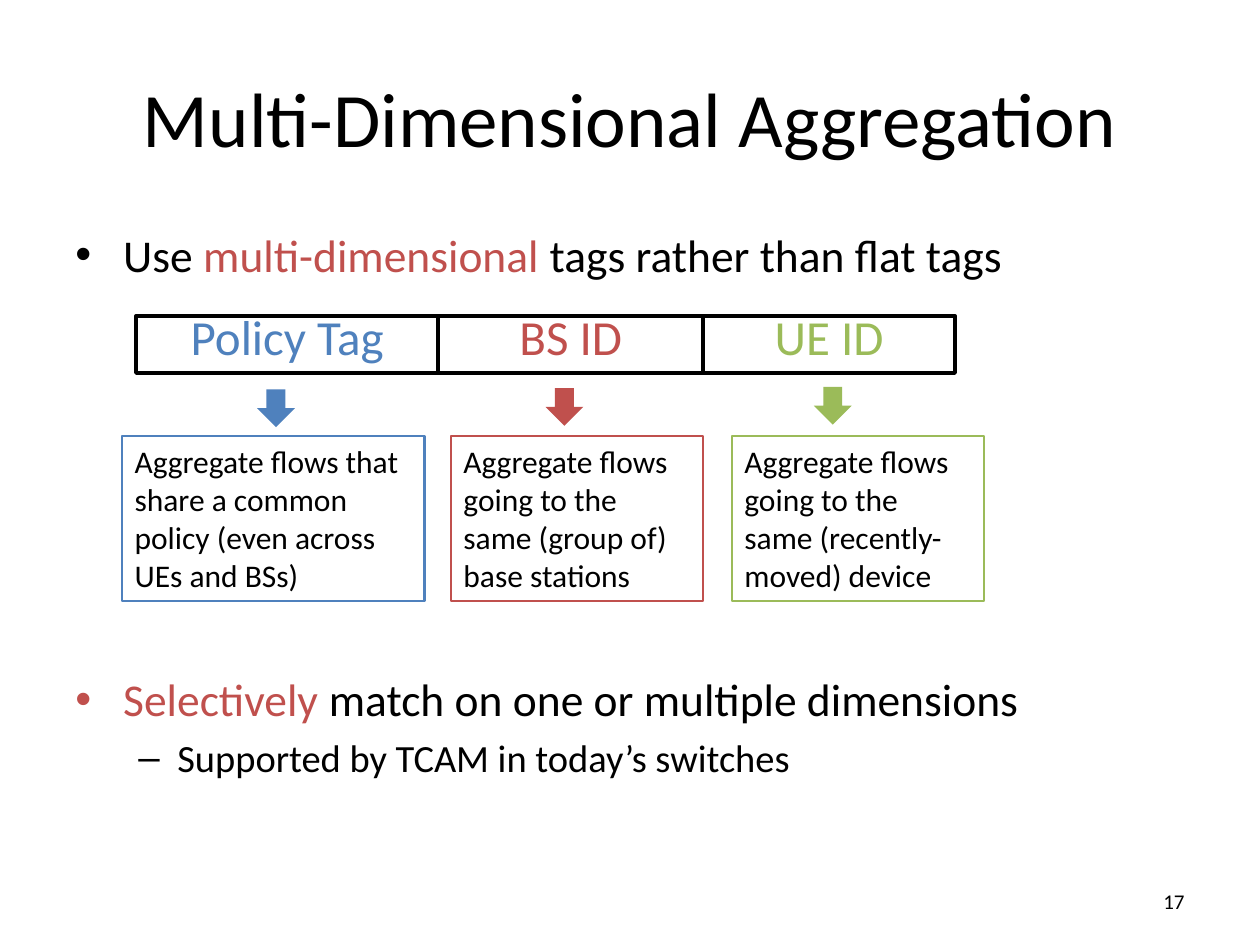
import pptx
import pptx.util
import pptx.dml.color
import pptx.enum.shapes
import pptx.enum.text
import pptx.oxml

ALIGN = pptx.enum.text.PP_ALIGN
ANCHOR = pptx.enum.text.MSO_ANCHOR
SHAPE = pptx.enum.shapes.MSO_SHAPE
BLACK, BLUE, RED, GREEN = "000000", "4F81BD", "C0504D", "9BBB59"


def color(hex_string):
    return pptx.dml.color.RGBColor.from_string(hex_string)


def write(paragraph, text, size=18, fill=BLACK, font="Calibri", align=ALIGN.LEFT,
          line_spacing=None, before=0):
    paragraph.alignment = align
    paragraph.space_before = pptx.util.Pt(before)
    if line_spacing:
        paragraph.line_spacing = line_spacing
    run = paragraph.add_run()
    run.text = text
    run.font.size = pptx.util.Pt(size)
    run.font.name = font
    run.font.color.rgb = color(fill)


class Deck:
    columns, rows = 100, 75

    def __init__(self):
        self.presentation = pptx.Presentation()
        self.presentation.slide_width = pptx.util.Inches(10)
        self.presentation.slide_height = pptx.util.Inches(7.5)
        self.slide = self.presentation.slides.add_slide(self.presentation.slide_layouts[6])

    def place(self, column, row, width, height):
        across = self.presentation.slide_width / self.columns
        down = self.presentation.slide_height / self.rows
        return [round(n) for n in (column * across, row * down, width * across, height * down)]

    def label(self, area, text, anchor=ANCHOR.MIDDLE, **style):
        frame = self.slide.shapes.add_textbox(*self.place(*area)).text_frame
        frame.word_wrap = True
        frame.vertical_anchor = anchor
        write(frame.paragraphs[0], text, **style)

    def bullets(self, area, items):
        frame = self.slide.shapes.add_textbox(*self.place(*area)).text_frame
        frame.word_wrap = True
        for index, (mark, margin, hanging, size, parts) in enumerate(items):
            paragraph = frame.add_paragraph() if index else frame.paragraphs[0]
            for text, fill in parts:
                write(paragraph, text, size=size, fill=fill, before=size * 0.2)
            properties = paragraph._p.get_or_add_pPr()
            properties.set("marL", str(pptx.util.Inches(margin)))
            properties.set("indent", str(-pptx.util.Inches(hanging)))
            for tag, attribute, value in (("buFont", "typeface", "Arial"), ("buChar", "char", mark)):
                bullet = pptx.oxml.parse_xml(
                    f'<a:{tag} xmlns:a="http://schemas.openxmlformats.org/drawingml/2006/main"/>')
                bullet.set(attribute, value)
                properties.append(bullet)

    def box(self, area, text, border, weight, **style):
        box = self.slide.shapes.add_shape(SHAPE.RECTANGLE, *self.place(*area))
        box.shadow.inherit = False
        box.fill.background()
        box.line.color.rgb = color(border)
        box.line.width = pptx.util.Pt(weight)
        box.text_frame.word_wrap = True
        box.text_frame.vertical_anchor = ANCHOR.TOP
        write(box.text_frame.paragraphs[0], text, **style)

    def arrow(self, area, fill):
        arrow = self.slide.shapes.add_shape(SHAPE.DOWN_ARROW, *self.place(*area))
        arrow.shadow.inherit = False
        arrow.fill.solid()
        arrow.fill.fore_color.rgb = color(fill)
        arrow.line.fill.background()


def main():
    deck = Deck()
    deck.label((5, 3, 90, 12.5), "Multi-Dimensional Aggregation", size=44, align=ALIGN.CENTER)
    deck.bullets((5, 17.5, 90, 6), [
        ("•", 0.38, 0.38, 26, [("Use ", BLACK), ("multi-dimensional ", RED),
                               ("tags rather than flat tags", BLACK)])])
    deck.bullets((5, 52.8, 90, 12), [
        ("•", 0.38, 0.38, 26, [("Selectively", RED),
                               (" match on one or multiple dimensions", BLACK)]),
        ("–", 0.81, 0.31, 22, [("Supported by TCAM in today’s switches", BLACK)])])

    dimensions = [
        ("Policy Tag", BLUE, 24, 9.7, 24, 20.4, 30.9,
         "Aggregate flows that share a common policy (even across UEs and BSs)"),
        ("BS ID", RED, 21, 35.8, 20, 43.3, 30.8,
         "Aggregate flows going to the same (group of) base stations"),
        ("UE ID", GREEN, 20, 58.1, 20, 64.6, 30.7,
         "Aggregate flows going to the same (recently-moved) device"),
    ]
    tag_left = 10.8
    for tag, accent, tag_width, left, width, arrow_left, arrow_top, meaning in dimensions:
        deck.box((tag_left, 25.1, tag_width, 4.5), tag, BLACK, 2.25,
                 size=28, fill=accent, align=ALIGN.CENTER, line_spacing=0.7)
        deck.arrow((arrow_left, arrow_top, 3, 3), accent)
        deck.box((left, 34.6, width, 13.1), meaning, accent, 1.5)
        tag_left += tag_width

    deck.label((71.7, 69.5, 23.3, 4), "17", size=12, align=ALIGN.RIGHT)
    deck.presentation.save("out.pptx")


if __name__ == "__main__":
    main()
